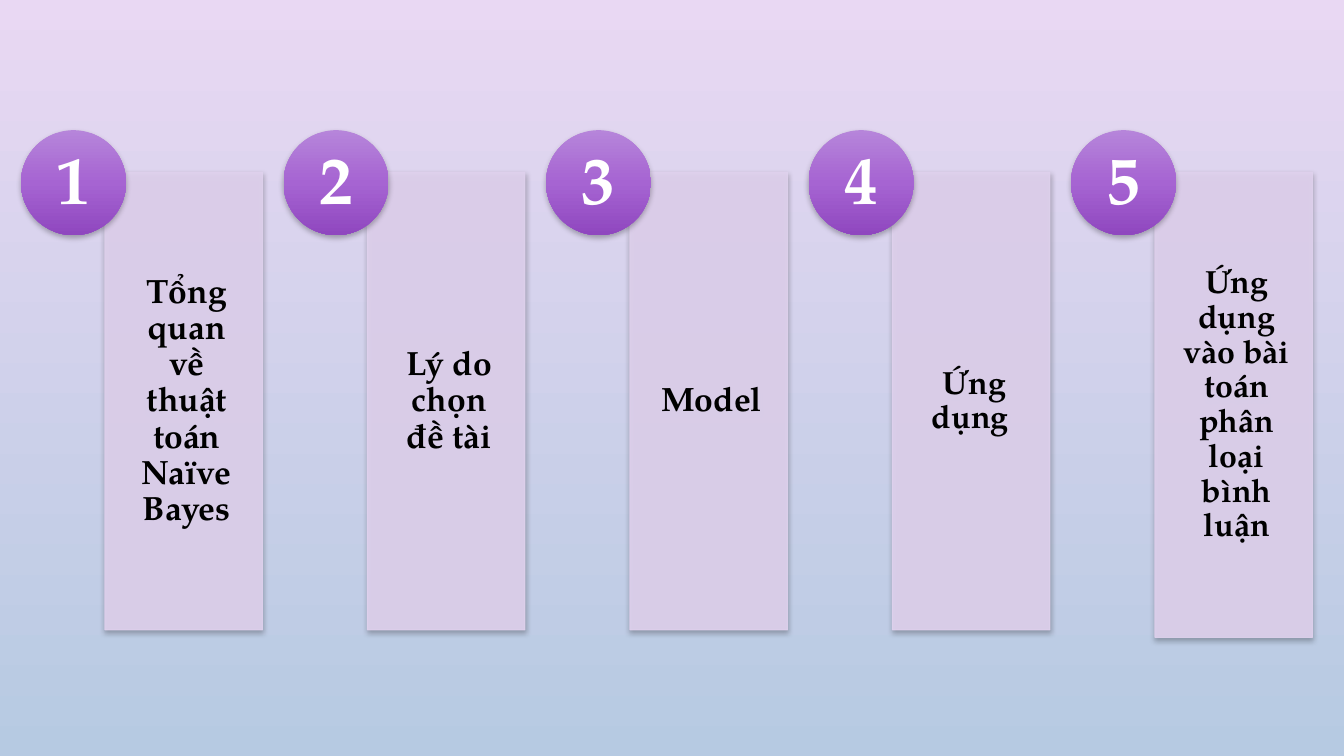
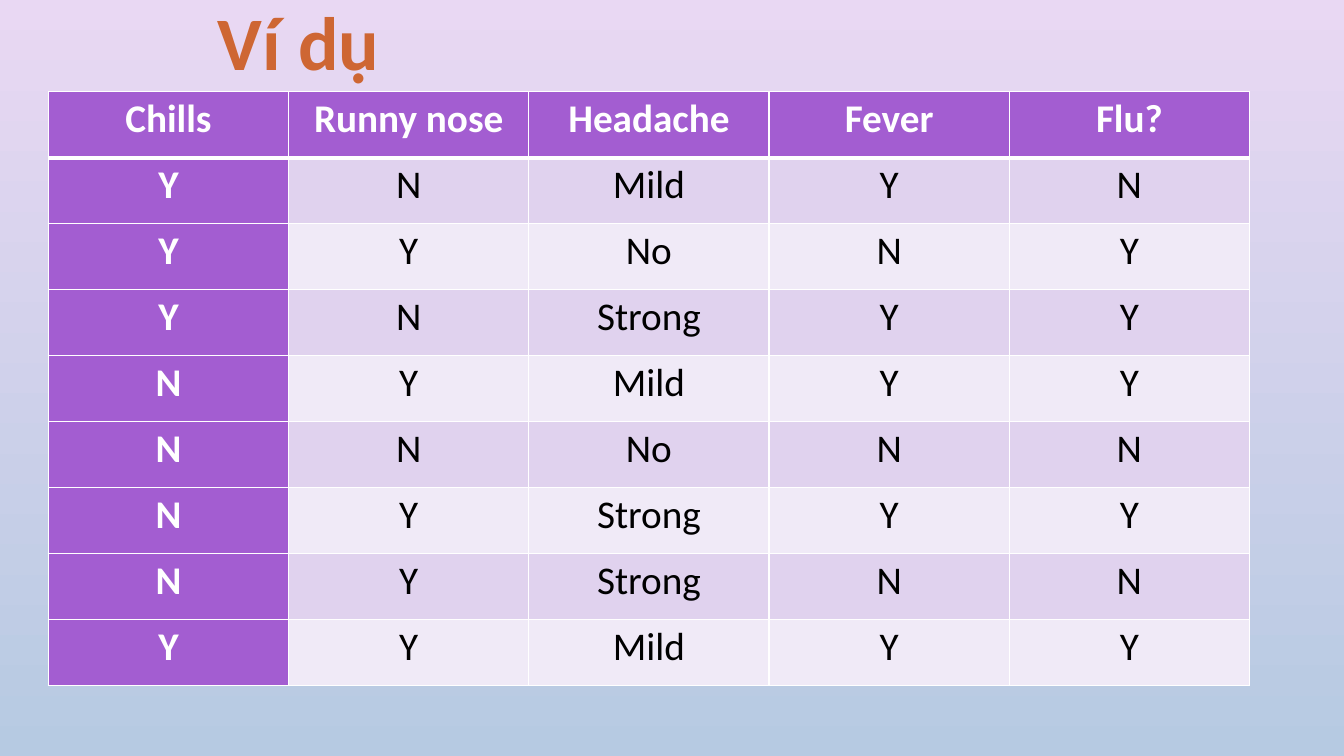
from lxml.etree import SubElement
from pptx import Presentation
from pptx.dml.color import RGBColor
from pptx.enum.shapes import MSO_SHAPE
from pptx.enum.text import MSO_ANCHOR, MSO_AUTO_SIZE, PP_ALIGN
from pptx.oxml.ns import qn
from pptx.util import Inches, Pt

COLOURS = {
    "sky_top": "E9D8F3", "sky_bottom": "B6CAE2",
    "bar": "E0D2EE", "band_light": "F0EAF7", "header": "A35DD1",
    "disc_top": "B685DA", "disc_mid": "A664D2", "disc_bottom": "8F47BF",
    "title_top": "683319", "title_mid": "CE6633", "title_bottom": "E2A385",
    "black": "000000", "white": "FFFFFF",
}
SERIF, SANS = "TeX Gyre Pagella", "Calibri"
COLUMNS, ROWS = 128, 72
TITLE_ONLY, BLANK = 5, 6

AGENDA = [
    # text, font size, bar height in rows
    ("Tổng quan về thuật toán Naïve Bayes", 24, 43.6),
    ("Lý do chọn đề tài", 24, 43.6),
    ("Model", 24, 43.6),
    ("Ứng dụng ", 23, 43.6),
    ("Ứng dụng vào bài toán phân loại bình luận", 23, 44.3),
]
SYMPTOMS = [
    ("Chills", "Runny nose", "Headache", "Fever", "Flu?"),
    ("Y", "N", "Mild", "Y", "N"),
    ("Y", "Y", "No", "N", "Y"),
    ("Y", "N", "Strong", "Y", "Y"),
    ("N", "Y", "Mild", "Y", "Y"),
    ("N", "N", "No", "N", "N"),
    ("N", "Y", "Strong", "Y", "Y"),
    ("N", "Y", "Strong", "N", "N"),
    ("Y", "Y", "Mild", "Y", "Y"),
]


def rgb(name):
    return RGBColor.from_string(COLOURS[name])


def add(parent, tag, **attributes):
    return SubElement(parent, qn(tag), {k: str(v) for k, v in attributes.items()})


def gradient(fill, element, names):
    """Fill from top to bottom with evenly spaced colours."""
    fill.gradient()
    fill.gradient_angle = 270
    stops = element.find(".//" + qn("a:gsLst"))
    for stop in list(stops):
        stops.remove(stop)
    for i, name in enumerate(names):
        stop = add(stops, "a:gs", pos=100000 * i // (len(names) - 1))
        add(stop, "a:srgbClr", val=COLOURS[name])


def soft_shadow(shape):
    effects = add(shape._element.spPr, "a:effectLst")
    shadow = add(effects, "a:outerShdw", blurRad=Pt(4), dist=Pt(2),
                 dir=5400000, algn="ctr", rotWithShape=0)
    add(add(shadow, "a:srgbClr", val=COLOURS["black"]), "a:alpha", val=28000)


def set_margins(frame, left, top, right, bottom):
    frame.margin_left, frame.margin_top = Inches(left), Inches(top)
    frame.margin_right, frame.margin_bottom = Inches(right), Inches(bottom)


class Deck:
    """Shared style and current slide; places are in grid columns and rows."""

    def __init__(self):
        self.prs = Presentation()
        self.prs.slide_width, self.prs.slide_height = Inches(13.33), Inches(7.5)
        master = self.prs.slide_master
        gradient(master.background.fill, master.element, ("sky_top", "sky_bottom"))

    def new_slide(self, layout):
        self.s = self.prs.slides.add_slide(self.prs.slide_layouts[layout])

    def place(self, x, y, w, h):
        column, row = self.prs.slide_width / COLUMNS, self.prs.slide_height / ROWS
        return round(x * column), round(y * row), round(w * column), round(h * row)

    def set_text(self, tf, text, size, font, colour, bold=True, spacing=0.9):
        p = tf.paragraphs[0]
        p.text = text
        p.alignment, p.line_spacing = PP_ALIGN.CENTER, spacing
        p.font.name, p.font.size, p.font.bold = font, Pt(size), bold
        p.font.color.rgb = rgb(colour)
        return p

    def title(self, text, *place):
        sp = self.s.shapes.title
        sp.left, sp.top, sp.width, sp.height = self.place(*place)
        tf = sp.text_frame
        tf.word_wrap, tf.vertical_anchor = True, MSO_ANCHOR.TOP
        tf.auto_size = MSO_AUTO_SIZE.SHAPE_TO_FIT_TEXT
        p = tf.paragraphs[0]
        p.alignment = PP_ALIGN.LEFT
        r = p.add_run()
        r.text = text
        r.font.name, r.font.size, r.font.bold = SANS, Pt(54), True
        gradient(r.font.fill, r._r, ("title_top", "title_mid", "title_bottom"))

    def bar(self, text, size, *place):
        sp = self.s.shapes.add_shape(MSO_SHAPE.RECTANGLE, *self.place(*place))
        sp.fill.solid()
        sp.fill.fore_color.rgb = sp.line.color.rgb = rgb("bar")
        sp.line.width = Pt(0.75)
        for colour in list(sp._element.spPr.iter(qn("a:srgbClr"))):
            add(colour, "a:alpha", val=90000)
        soft_shadow(sp)
        set_margins(sp.text_frame, 0.25, 0.19, 0.19, 0.19)
        self.set_text(sp.text_frame, text, size, SERIF, "black")

    def disc(self, text, *place):
        sp = self.s.shapes.add_shape(MSO_SHAPE.OVAL, *self.place(*place))
        gradient(sp.fill, sp._element, ("disc_top", "disc_mid", "disc_bottom"))
        sp.line.fill.background()
        soft_shadow(sp)
        set_margins(sp.text_frame, 0, 0, 0, 0)
        self.set_text(sp.text_frame, text, 48, SERIF, "white")

    def borders(self, cell, top, bottom):
        properties = cell._tc.get_or_add_tcPr()
        for side, width in (("L", 1), ("R", 1), ("T", top), ("B", bottom)):
            line = add(properties, "a:ln" + side, w=Pt(width))
            add(add(line, "a:solidFill"), "a:srgbClr", val=COLOURS["white"])

    def table(self, rows, *place):
        frame = self.s.shapes.add_table(len(rows), len(rows[0]), *self.place(*place))
        table = frame.table
        table.first_col = True
        for i, row in enumerate(rows):
            for j, text in enumerate(row):
                cell = table.cell(i, j)
                heading = i == 0 or j == 0
                band = "bar" if i % 2 else "band_light"
                self.borders(cell, 3 if i == 1 else 1, 3 if i == 0 else 1)
                cell.fill.solid()
                cell.fill.fore_color.rgb = rgb("header" if heading else band)
                set_margins(cell, 0.07, 0, 0.07, 0)
                p = self.set_text(cell.text_frame, text, 28, SANS,
                                  "white" if heading else "black", heading, 1.07)
                p.space_after = Pt(8)


def main():
    deck = Deck()

    deck.new_slide(BLANK)
    for i, (text, size, height) in enumerate(AGENDA):
        x = 2 + 25 * i
        deck.bar(text, size, x + 8, 16.4, 15, height)
        deck.disc(str(i + 1), x, 12.4, 10, 10)

    deck.new_slide(TITLE_ONLY)
    deck.title("Ví dụ", 19.8, -1, 61.8, 9.7)
    deck.table(SYMPTOMS, 4.6, 8.75, 114.4, 56.6)

    deck.prs.save("out.pptx")


if __name__ == "__main__":
    main()
